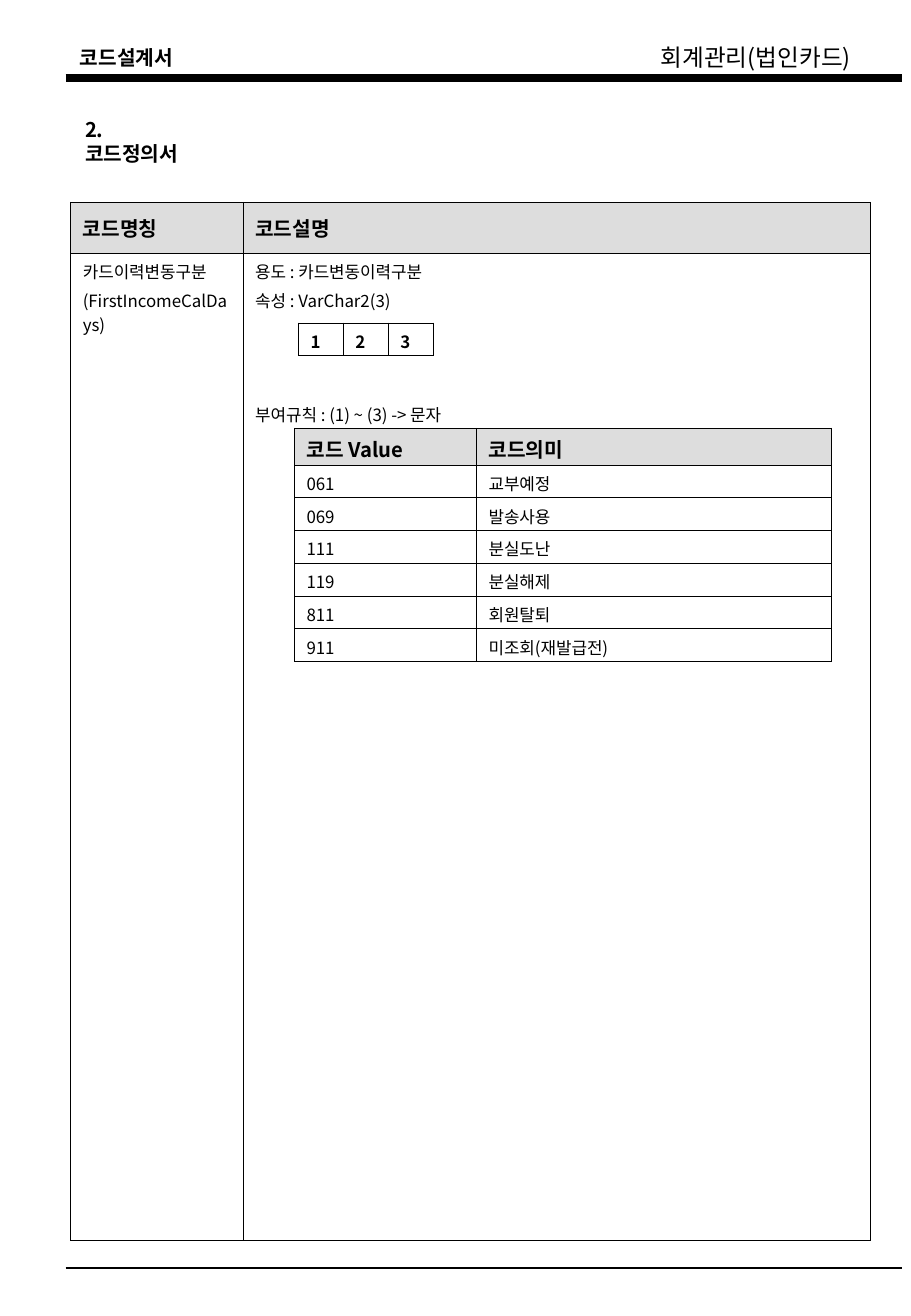
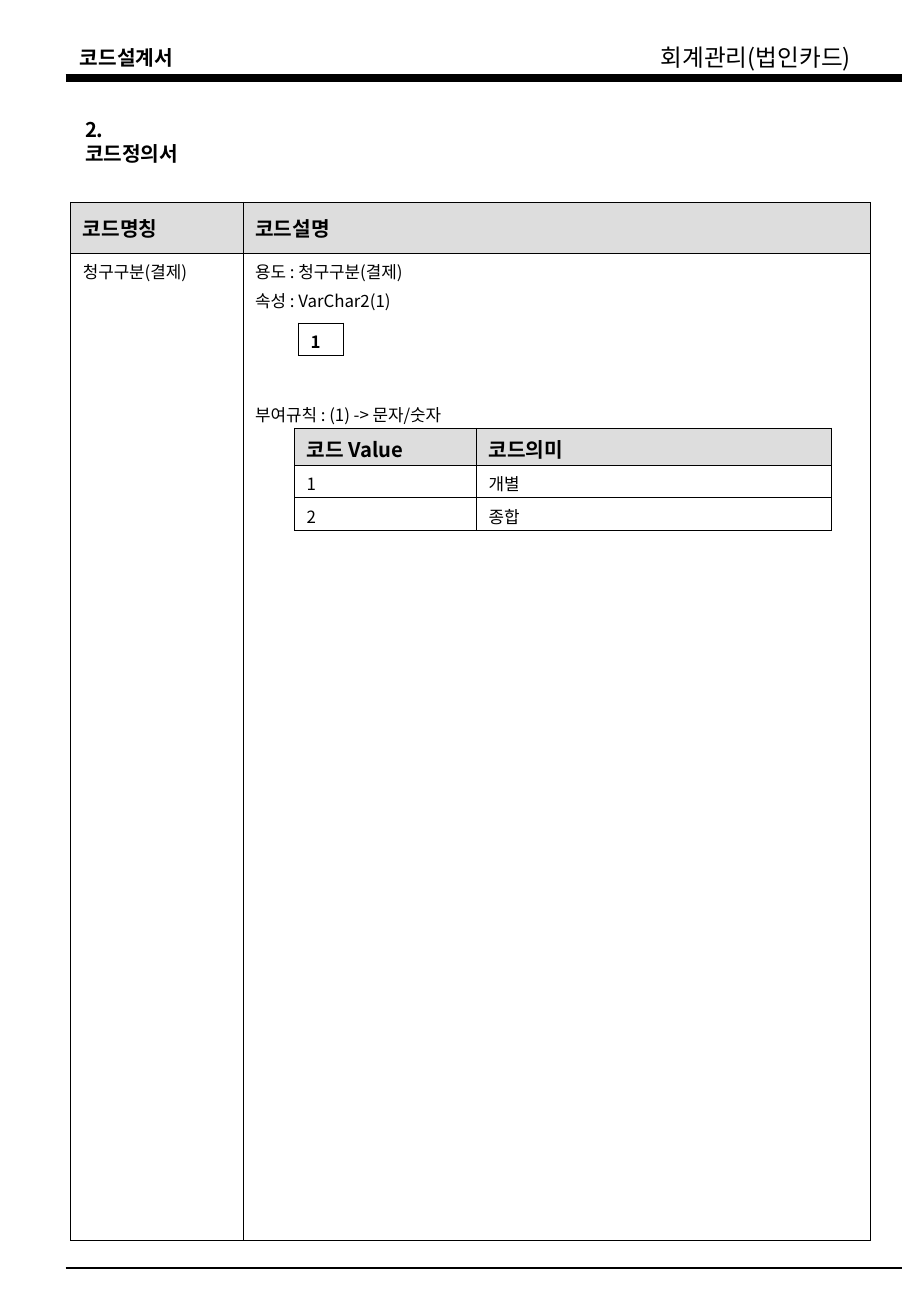
import lxml.etree
import pptx
import pptx.dml.color
import pptx.enum.shapes
import pptx.enum.text
import pptx.oxml.ns
import pptx.util

Pt = pptx.util.Pt
ANCHOR = pptx.enum.text.MSO_ANCHOR
FONT = "Noto Sans CJK KR"
BLACK, GREY = "000000", "DDDDDD"
INNER, OUTER = 0.45, 0.75
RULE_LEFT, RULE_RIGHT = 38.9, 534.5


def color(value):
    """Turn a hex string into a colour."""
    return pptx.dml.color.RGBColor.from_string(value)


def add_element(parent, tag, **attrs):
    """Append a drawing element to a parent."""
    return lxml.etree.SubElement(parent, pptx.oxml.ns.qn(tag), attrs)


def format_paragraph(p, size, bold):
    """Set one font for Latin and Korean text."""
    font = p.font
    font.name, font.size, font.bold = FONT, Pt(size), bold
    font.color.rgb = color(BLACK)
    add_element(p._p.pPr.find(pptx.oxml.ns.qn("a:defRPr")), "a:ea", typeface=FONT)


def place(sp, left, top, width, height):
    """Set the position and size of a shape."""
    sp.left, sp.top, sp.width, sp.height = map(Pt, (left, top, width, height))


def add_label(slide, text, box, size, bold):
    """Add a one-line header text."""
    sp = slide.shapes.add_textbox(*map(Pt, box))
    tf = sp.text_frame
    tf.word_wrap = False
    tf.vertical_anchor = ANCHOR.MIDDLE
    p = tf.paragraphs[0]
    p.text = text
    format_paragraph(p, size, bold)


def add_rule(slide, y, width):
    """Draw a rule across the page."""
    line = slide.shapes.add_connector(
        pptx.enum.shapes.MSO_CONNECTOR.STRAIGHT,
        Pt(RULE_LEFT), Pt(y), Pt(RULE_RIGHT), Pt(y))
    line.line.color.rgb = color(BLACK)
    line.line.width = Pt(width)
    add_element(line._element.spPr, "a:effectLst")


def set_title(slide, text):
    """Place and format the section title."""
    sp = slide.shapes.title
    place(sp, 43.2, 65.8, 76, 40)
    tf = sp.text_frame
    tf.text = text
    tf.word_wrap = True
    tf.auto_size = pptx.enum.text.MSO_AUTO_SIZE.NONE
    tf.vertical_anchor = ANCHOR.TOP
    p = tf.paragraphs[0]
    p.alignment = pptx.enum.text.PP_ALIGN.LEFT
    format_paragraph(p, 12, True)


def set_borders(cell, widths):
    """Draw the left, right, top and bottom borders of a cell."""
    tc_pr = cell._tc.get_or_add_tcPr()
    for side, width in zip("LRTB", widths):
        ln = add_element(tc_pr, "a:ln" + side, w=str(int(Pt(width))))
        add_element(add_element(ln, "a:solidFill"), "a:srgbClr", val=BLACK)


def fill_cell(cell, lines, size, bold, fill, anchor, bottom):
    """Write paragraphs, given as text and space before, into a cell."""
    cell.margin_left = cell.margin_right = Pt(7.2)
    cell.margin_top, cell.margin_bottom = Pt(3.6), Pt(bottom)
    cell.vertical_anchor = anchor
    tf = cell.text_frame
    tf.text = "\n".join(text for text, _ in lines)
    for p, (_, gap) in zip(tf.paragraphs, lines):
        p.space_before = Pt(gap)
        format_paragraph(p, size, bold)
    if fill:
        cell.fill.solid()
        cell.fill.fore_color.rgb = color(fill)
    else:
        cell.fill.background()


def add_grid(slide, left, top, cols, heights, rows, header=True, edge=INNER, bottom=0.5):
    """Add a bordered table whose cells hold lists of paragraphs."""
    frame = slide.shapes.add_table(len(rows), len(cols), Pt(left), Pt(top),
                                   Pt(sum(cols)), Pt(sum(heights)))
    table = frame.table
    table.first_row = table.horz_banding = False
    for column, width in zip(table.columns, cols):
        column.width = Pt(width)
    for i, (height, row) in enumerate(zip(heights, rows)):
        table.rows[i].height = Pt(height)
        is_head = header and i == 0
        for j, lines in enumerate(row):
            cell = table.cell(i, j)
            at_edge = (j == 0, j == len(cols) - 1, i == 0, i == len(rows) - 1)
            set_borders(cell, [edge if e else INNER for e in at_edge])
            fill_cell(cell, lines, 12 if is_head else 10, is_head or not header,
                      GREY if is_head else None,
                      ANCHOR.MIDDLE if is_head or not header else ANCHOR.TOP, bottom)


def single(*texts):
    """Make a row of one-paragraph cells."""
    return [[(text, 0)] for text in texts]


def add_code_slide(prs, names, usage, digits, rule, codes):
    """Build one code definition page."""
    slide = prs.slides.add_slide(prs.slide_layouts[5])
    add_label(slide, "코드설계서", (40.3, 23, 72, 21.6), 12, True)
    add_label(slide, "회계관리(법인카드)", (384.5, 21.6, 141.8, 24.5), 14, False)
    add_rule(slide, 46.1, 4.5)
    add_rule(slide, 751.9, 1)
    set_title(slide, "2. 코드정의서")

    name_lines = [(name, 2.5 if i else 0) for i, name in enumerate(names)]
    description = [(f"용도 : {usage}", 0), (f"속성 : VarChar2({digits})", 2.5),
                   (f"부여규칙 : {rule}", 53.5)]
    add_grid(slide, 41.9, 120, (102.2, 372.1), (30.2, 585.8),
             [single("코드명칭", "코드설명"), [name_lines, description]],
             edge=OUTER, bottom=3.6)
    add_grid(slide, 174.5, 253.9, (107.9, 210.2), [21.9] + [19.44] * len(codes),
             [single("코드 Value", "코드의미")] + [single(*code) for code in codes])
    add_grid(slide, 176.9, 191.6, [26.6] * digits, [19.3],
             [single(*map(str, range(1, digits + 1)))], header=False, bottom=1)


def main():
    """Build and save the presentation."""
    prs = pptx.Presentation()
    prs.slide_width = Pt(540)
    prs.slide_height = Pt(780.48)
    add_code_slide(prs, ["카드이력변동구분", "(FirstIncomeCalDays)"], "카드변동이력구분",
                   3, "(1) ~ (3) -> 문자",
                   [("061", "교부예정"), ("069", "발송사용"), ("111", "분실도난"),
                    ("119", "분실해제"), ("811", "회원탈퇴"), ("911", "미조회(재발급전)")])
    add_code_slide(prs, ["청구구분(결제)"], "청구구분(결제)", 1, "(1) -> 문자/숫자",
                   [("1", "개별"), ("2", "종합")])
    prs.save("out.pptx")


if __name__ == "__main__":
    main()
